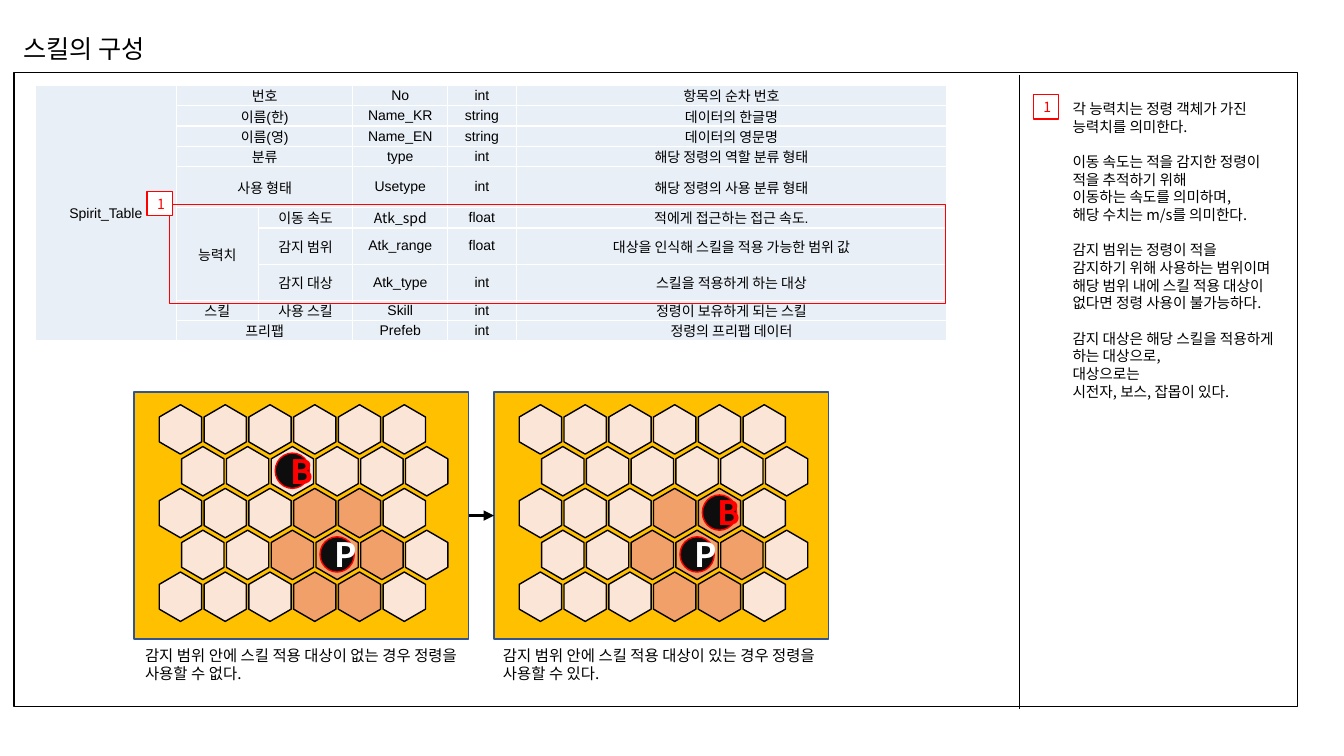
from dataclasses import dataclass

from lxml import etree
from pptx import Presentation
from pptx.dml.color import RGBColor
from pptx.enum.shapes import MSO_CONNECTOR as CONN, MSO_SHAPE as SHAPE
from pptx.enum.text import MSO_ANCHOR as ANCHOR, PP_ALIGN as ALIGN
from pptx.oxml.ns import qn
from pptx.util import Inches, Pt


@dataclass(frozen=True)
class Theme:
    latin: str = "Arial"
    korean: str = "Noto Sans CJK KR"
    black: str = "000000"
    white: str = "FFFFFF"
    red: str = "FF0000"
    cell: str = "E9EFF7"
    board: str = "FFC000"
    board_line: str = "325491"
    tile: str = "FBE5D6"
    reach: str = "F1A069"
    marker: str = "0D0D0D"
    title: float = 18
    small: float = 10
    note: float = 10.5
    caption: float = 11
    letter: float = 24


T = Theme()

COLUMNS = [1.4, 0.81, 0.94, 0.94, 0.68, 4.27]
ROWS = [0.2, 0.2, 0.2, 0.2, 0.41, 0.2, 0.36, 0.36, 0.2, 0.2]
FIELDS = [
    ("번호", "", "No", "int", "항목의 순차 번호"),
    ("이름(한)", "", "Name_KR", "string", "데이터의 한글명"),
    ("이름(영)", "", "Name_EN", "string", "데이터의 영문명"),
    ("분류", "", "type", "int", "해당 정령의 역할 분류 형태"),
    ("사용 형태", "", "Usetype", "int", "해당 정령의 사용 분류 형태"),
    ("능력치", "이동 속도", "Atk_spd", "float", "적에게 접근하는 접근 속도."),
    ("", "감지 범위", "Atk_range", "float", "대상을 인식해 스킬을 적용 가능한 범위 값"),
    ("", "감지 대상", "Atk_type", "int", "스킬을 적용하게 하는 대상"),
    ("스킬", "사용 스킬", "Skill", "int", "정령이 보유하게 되는 스킬"),
    ("프리팹", "", "Prefeb", "int", "정령의 프리팹 데이터"),
]
NOTES = [
    ["각 능력치는 정령 객체가 가진", "능력치를 의미한다."],
    ["이동 속도는 적을 감지한 정령이 적을 추적하기 위해", "이동하는 속도를 의미하며,",
     "해당 수치는 m/s를 의미한다."],
    ["감지 범위는 정령이 적을",
     "감지하기 위해 사용하는 범위이며 해당 범위 내에 스킬 적용 대상이 없다면 정령 사용이 불가능하다."],
    ["감지 대상은 해당 스킬을 적용하게 하는 대상으로,", "대상으로는", "시전자, 보스, 잡몹이 있다."],
]

TILE_W, TILE_H = 0.49, 0.42
TILE_STEP, ROW_STEP = 2.22 / 5, 1.66 / 4
BOARD_TOP = 3.89
PLAYER = (3, 3)
REACH = {(2, 3), (2, 4), (3, 2), (3, 3), (3, 4), (4, 3), (4, 4)}


def rgb(value):
    return RGBColor.from_string(value)


def box(*lengths):
    return [Inches(v) for v in lengths]


def write(tf, text, size, font=T.korean, color=T.black, bold=False, align=ALIGN.LEFT,
          leading=None, before=0, add=False):
    """Write one paragraph into tf, after the others if add is set."""
    p = tf.add_paragraph() if add else tf.paragraphs[0]
    p.alignment = align
    p.space_before = Pt(before)
    if leading:
        p.line_spacing = Pt(leading)
    r = p.add_run()
    r.text = text
    r.font.name, r.font.size, r.font.bold = font, Pt(size), bold
    r.font.color.rgb = rgb(color)
    etree.SubElement(r.font._element, qn("a:ea")).set("typeface", T.korean)


def add_shape(s, kind, at, line, fill=None):
    sp = s.shapes.add_shape(kind, *box(*at))
    sp.shadow.inherit = False
    if fill:
        sp.fill.solid()
        sp.fill.fore_color.rgb = rgb(fill)
    else:
        sp.fill.background()
    sp.line.color.rgb = rgb(line)
    sp.line.width = Pt(1)
    return sp


def add_line(s, start, end, width):
    line = s.shapes.add_connector(CONN.STRAIGHT, *box(*start, *end))
    line.line.color.rgb = rgb(T.black)
    line.line.width = Pt(width)
    etree.SubElement(line._element.spPr, qn("a:effectLst"))
    return line


def add_text_box(s, at):
    tf = s.shapes.add_textbox(*box(*at)).text_frame
    tf.word_wrap = True
    return tf


def add_badge(s, left, top):
    sp = add_shape(s, SHAPE.RECTANGLE, (left, top, 0.25, 0.24), T.red, T.white)
    sp.text_frame.vertical_anchor = ANCHOR.MIDDLE
    write(sp.text_frame, "1", T.small, color=T.red, align=ALIGN.CENTER)


def add_field_table(s):
    frame = s.shapes.add_table(len(ROWS), len(COLUMNS), *box(0.35, 0.85, 9.03, 2.55))
    table = frame.table
    table.first_row = table.horz_banding = False
    for column, width in zip(table.columns, COLUMNS):
        column.width = Inches(width)
    for row, height in zip(table.rows, ROWS):
        row.height = Inches(height)
    for i, field in enumerate(FIELDS):
        for j, text in enumerate(("" if i else "Spirit_Table", *field)):
            cell = table.cell(i, j)
            cell.fill.solid()
            cell.fill.fore_color.rgb = rgb(T.cell)
            cell.vertical_anchor = ANCHOR.MIDDLE
            cell.margin_left = cell.margin_right = cell.margin_top = cell.margin_bottom = 0
            cell.text_frame.paragraphs[0].font.size = Pt(T.small)
            if text:
                font = T.korean if text == "Atk_spd" else T.latin
                write(cell.text_frame, text, T.small, font=font, align=ALIGN.CENTER)
        if field[0] and not field[1]:
            table.cell(i, 1).merge(table.cell(i, 2))
    table.cell(0, 0).merge(table.cell(len(ROWS) - 1, 0))
    table.cell(5, 1).merge(table.cell(7, 1))


def tile_center(left, row, col):
    """Odd rows stand half a tile further right."""
    return left + 0.46 + (col + row % 2 / 2) * TILE_STEP, BOARD_TOP + 0.37 + row * ROW_STEP


def add_marker(s, center, letter, color):
    x, y = center
    sp = add_shape(s, SHAPE.OVAL, (x - 0.17, y - 0.18, 0.34, 0.35), T.red, T.marker)
    sp.text_frame.vertical_anchor = ANCHOR.MIDDLE
    write(sp.text_frame, letter, T.letter, color=color, bold=True, align=ALIGN.CENTER)


def add_board(s, left, boss):
    board = add_shape(s, SHAPE.RECTANGLE, (left, BOARD_TOP, 3.32, 2.45), T.board_line, T.board)
    for row in range(5):
        for col in range(6):
            x, y = tile_center(left, row, col)
            at = (x - TILE_W / 2, y - TILE_H / 2, TILE_W, TILE_H)
            fill = T.reach if (row, col) in REACH else T.tile
            tile = add_shape(s, SHAPE.HEXAGON, at, T.black, fill)
            tile.adjustments[0] = 0.29
            tile.rotation = 270
    add_marker(s, tile_center(left, *PLAYER), "P", T.white)
    add_marker(s, tile_center(left, *boss), "B", T.red)
    return board


def add_arrow(s, source, target):
    arrow = add_line(s, (4.65, 5.11), (4.9, 5.11), 2.5)
    arrow.begin_connect(source, 3)
    arrow.end_connect(target, 1)
    etree.SubElement(arrow.line._get_or_add_ln(), qn("a:tailEnd")).set("type", "triangle")


def add_notes_column(s):
    tf = add_text_box(s, (10.54, 0.94, 2.27, 3.28))
    for i, group in enumerate(NOTES):
        for j, text in enumerate(group):
            before = 12.6 if i and not j else 0
            write(tf, text, T.note, leading=12.6, before=before, add=i + j > 0)


def main():
    prs = Presentation()
    prs.slide_width, prs.slide_height = box(13.33, 7.5)
    s = prs.slides.add_slide(prs.slide_layouts[5])

    title = s.shapes.title
    title.left, title.top, title.width, title.height = box(0.13, 0.28, 1.55, 0.4)
    title.text_frame.vertical_anchor = ANCHOR.TOP
    write(title.text_frame, "스킬의 구성", T.title, leading=21.6)

    add_field_table(s)
    add_shape(s, SHAPE.RECTANGLE, (0.14, 0.72, 12.73, 6.29), T.black)
    add_line(s, (10.11, 0.74), (10.11, 7.03), 0.75)
    add_badge(s, 10.25, 0.94)
    add_notes_column(s)
    add_shape(s, SHAPE.RECTANGLE, (1.68, 2.03, 7.7, 0.98), T.red)
    add_badge(s, 1.46, 1.9)

    out_of_reach = add_board(s, 1.33, boss=(1, 2))
    in_reach = add_board(s, 4.9, boss=(2, 4))
    add_arrow(s, out_of_reach, in_reach)
    for left, state in ((1.34, "없"), (4.89, "있")):
        text = f"감지 범위 안에 스킬 적용 대상이 {state}는 경우 정령을 사용할 수 {state}다."
        write(add_text_box(s, (left, 6.36, 3.65, 0.47)), text, T.caption, leading=13)

    prs.save("out.pptx")


if __name__ == "__main__":
    main()
